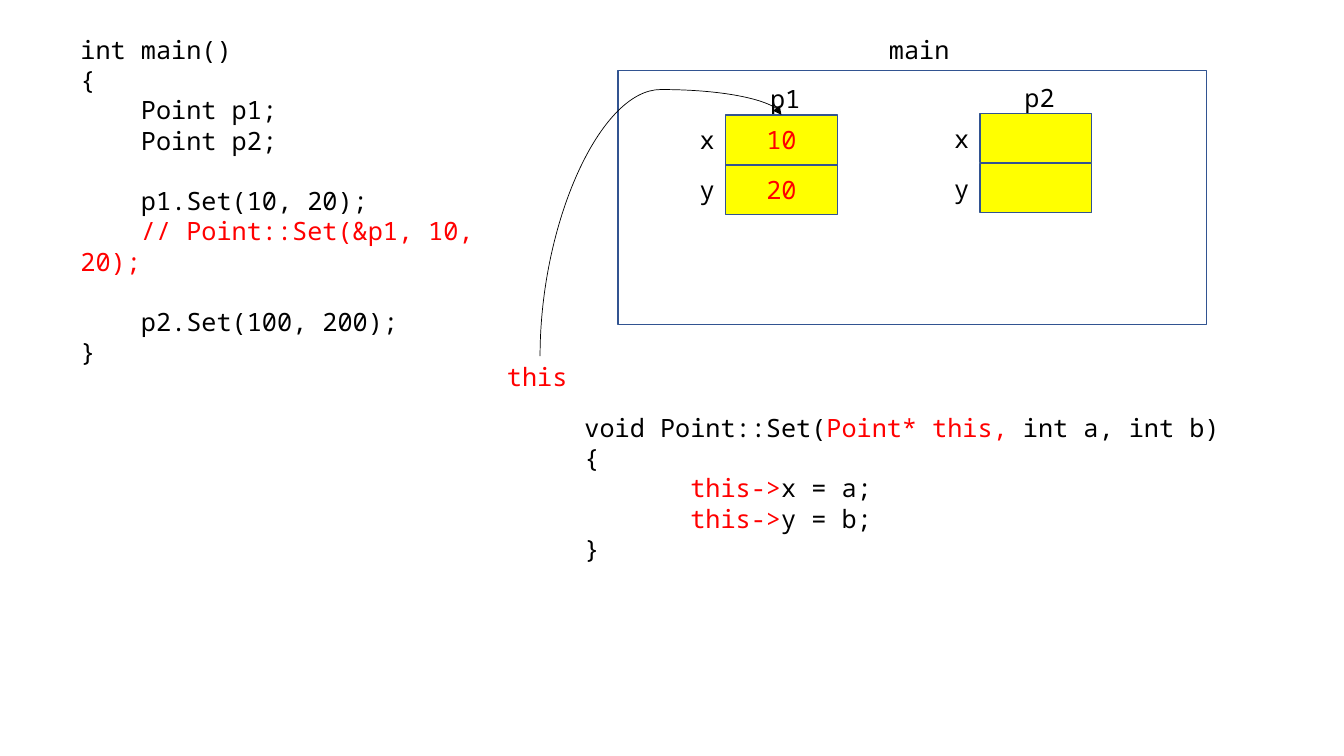
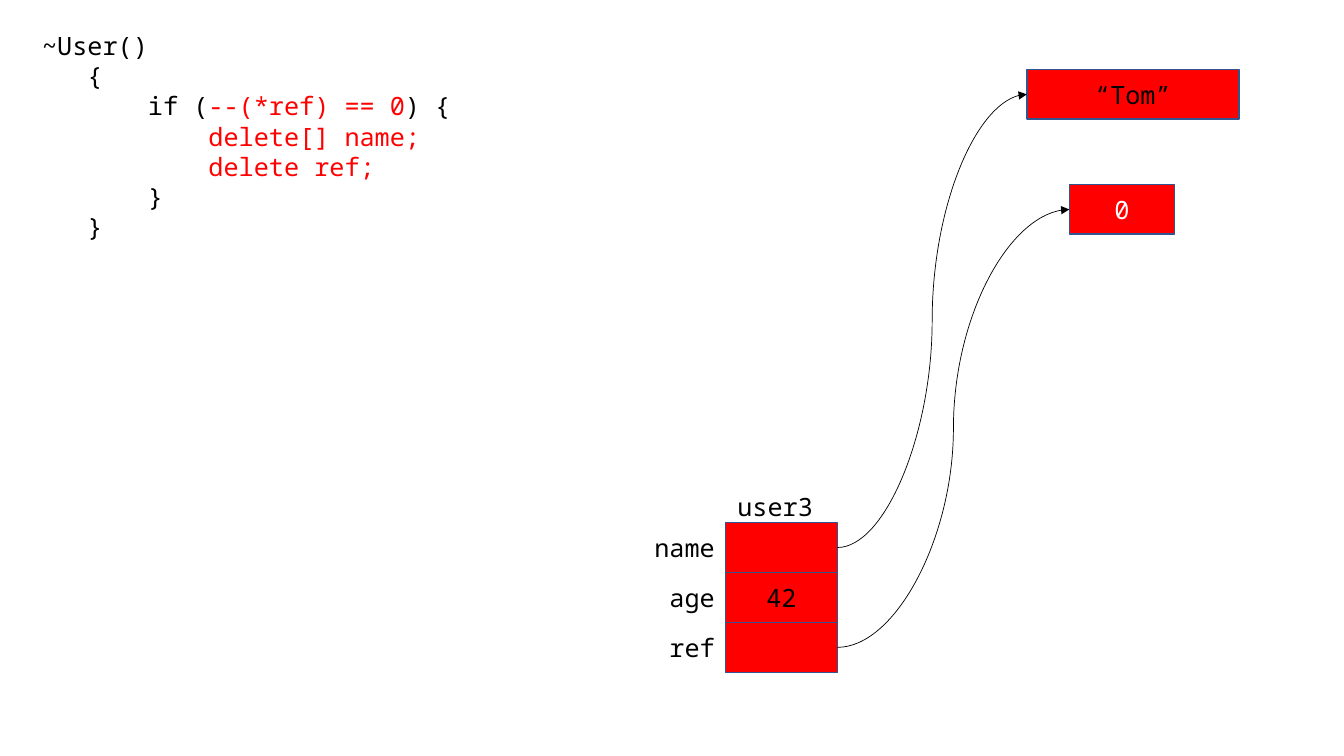
from pptx import Presentation
from pptx.util import Pt
from pptx.dml.color import RGBColor
from pptx.enum.shapes import MSO_SHAPE as SHAPE, MSO_CONNECTOR as LINK
from pptx.enum.text import PP_ALIGN as ALIGN, MSO_ANCHOR as ANCHOR
from pptx.oxml import parse_xml
from pptx.oxml.ns import qn, nsdecls
from lxml import etree

BLACK = RGBColor(0, 0, 0)
WHITE = RGBColor(255, 255, 255)
RED = RGBColor(255, 0, 0)
YELLOW = RGBColor(255, 255, 0)
BLUE = RGBColor(0x32, 0x54, 0x91)
FONT = "Noto Sans Mono"
SIZE = 18
CHAR = 10.8
LINE = 21.6
CELL_W, CELL_H, STEP = 80, 35.4, 35.7


def block(page, left, top, width, height, rows, align=ALIGN.LEFT, fill=None):
    at = [Pt(n) for n in (left, top, width, height)]
    if fill is None:
        shape = page.shapes.add_textbox(*at)
    else:
        shape = page.shapes.add_shape(SHAPE.RECTANGLE, *at)
        shape.shadow.inherit = False
        shape.fill.solid()
        shape.fill.fore_color.rgb = fill
        shape.line.color.rgb = BLUE
        shape.line.width = Pt(1)
    frame = shape.text_frame
    frame.word_wrap = True
    frame.vertical_anchor = ANCHOR.TOP if fill is None else ANCHOR.MIDDLE
    for i, (indent, gap, parts) in enumerate(rows):
        para = frame.paragraphs[0] if i == 0 else frame.add_paragraph()
        para.alignment = align
        para.space_before = Pt(gap * LINE)
        if indent:
            para._p.get_or_add_pPr().set("indent", str(Pt(indent * CHAR)))
        for words, tone in parts:
            run = para.add_run()
            run.text = words
            run.font.name = FONT
            run.font.size = Pt(SIZE)
            run.font.color.rgb = tone


def arrow(page, start, end, turn=0, bend=50000):
    line = page.shapes.add_connector(LINK.CURVE, *[Pt(n) for n in start + end])
    line.line.color.rgb = BLACK
    line.line.width = Pt(0.5)
    props = line.element.spPr
    props.find(qn("a:xfrm")).set("rot", str(turn * 60000))
    guides = props.find(qn("a:prstGeom")).get_or_add_avLst()
    etree.SubElement(guides, qn("a:gd"), name="adj1", fmla=f"val {bend}")
    etree.SubElement(props.find(qn("a:ln")), qn("a:tailEnd"), type="triangle")
    props.append(parse_xml(f"<a:effectLst {nsdecls('a')}/>"))


deck = Presentation()
deck.slide_width, deck.slide_height = Pt(960), Pt(540)
blank = deck.slide_layouts[6]
point = deck.slides.add_slide(blank)
user = deck.slides.add_slide(blank)

main_code = [
    (0, 0, [("int main()", BLACK)]),
    (0, 0, [("{", BLACK)]),
    (4, 0, [("Point p1;", BLACK)]),
    (4, 0, [("Point p2;", BLACK)]),
    (4, 1, [("p1.Set(10, 20);", BLACK)]),
    (4, 0, [("// Point::Set(&p1, 10, 20);", RED)]),
    (4, 1, [("p2.Set(100, 200);", BLACK)]),
    (0, 0, [("}", BLACK)]),
]
set_code = [
    (1, 0, [("void Point::Set(", BLACK), ("Point* this, ", RED), ("int a, int b)", BLACK)]),
    (1, 0, [("{", BLACK)]),
    (8, 0, [("this->", RED), ("x = a;", BLACK)]),
    (8, 0, [("this->", RED), ("y = b;", BLACK)]),
    (1, 0, [("}", BLACK)]),
]
user_code = [
    (1, 0, [("~User()", BLACK)]),
    (4, 0, [("{", BLACK)]),
    (8, 0, [("if (", BLACK), ("--(*ref) == 0", RED), (") {", BLACK)]),
    (12, 0, [("delete[] name;", RED)]),
    (12, 0, [("delete ref;", RED)]),
    (8, 0, [("}", BLACK)]),
    (4, 0, [("}", BLACK)]),
]

block(point, 50.4, 20.9, 345, 225, main_code)
block(point, 441.4, 50.4, 420.5, 181.4, [], fill=WHITE)
block(point, 609.8, 20.9, 93.6, 29, [(0, 0, [("main", BLACK)])], ALIGN.CENTER)
block(point, 399.6, 290.9, 509.8, 116.6, set_code)
block(point, 355, 254.2, 65, 29, [(0, 0, [("this", RED)])])
block(user, 12.2, 18, 480, 160, user_code)

for words, tone, left, top, width in [
    ("“Tom”", BLACK, 733.5, 49.5, 151.5),
    ("0", WHITE, 763.9, 131.8, 75),
]:
    block(user, left, top, width, CELL_H, [(0, 0, [(words, tone)])], ALIGN.CENTER, RED)

for page, left, top, title, edge, fill, tone, fields in [
    (point, 518.2, 82.1, "p1", 60.5, YELLOW, RED, [("x", "10"), ("y", "20")]),
    (point, 699.9, 80.9, "p2", 60.5, YELLOW, RED, [("x", ""), ("y", "")]),
    (user, 518.2, 373.4, "user3", 69.5, RED, BLACK, [("name", ""), ("age", "42"), ("ref", "")]),
]:
    for i, (name, value) in enumerate(fields):
        row = top + i * STEP
        cell = [(0, 0, [(value, tone)])] if value else []
        block(page, left, row, CELL_W, CELL_H, cell, ALIGN.CENTER, fill)
        block(page, left - 80.5, row + 3.3, 80, 29, [(0, 0, [(name, BLACK)])], ALIGN.RIGHT)
    block(page, left + edge - 90, top - 26, 90, 29, [(0, 0, [(title, BLACK)])], ALIGN.RIGHT)

arrow(point, (558.2, 254.5), (385.8, 82.1), 90, 110500)
arrow(user, (598.2, 391.1), (733.5, 67.4))
arrow(user, (598.2, 462.4), (763.9, 149.6))

deck.save("out.pptx")
